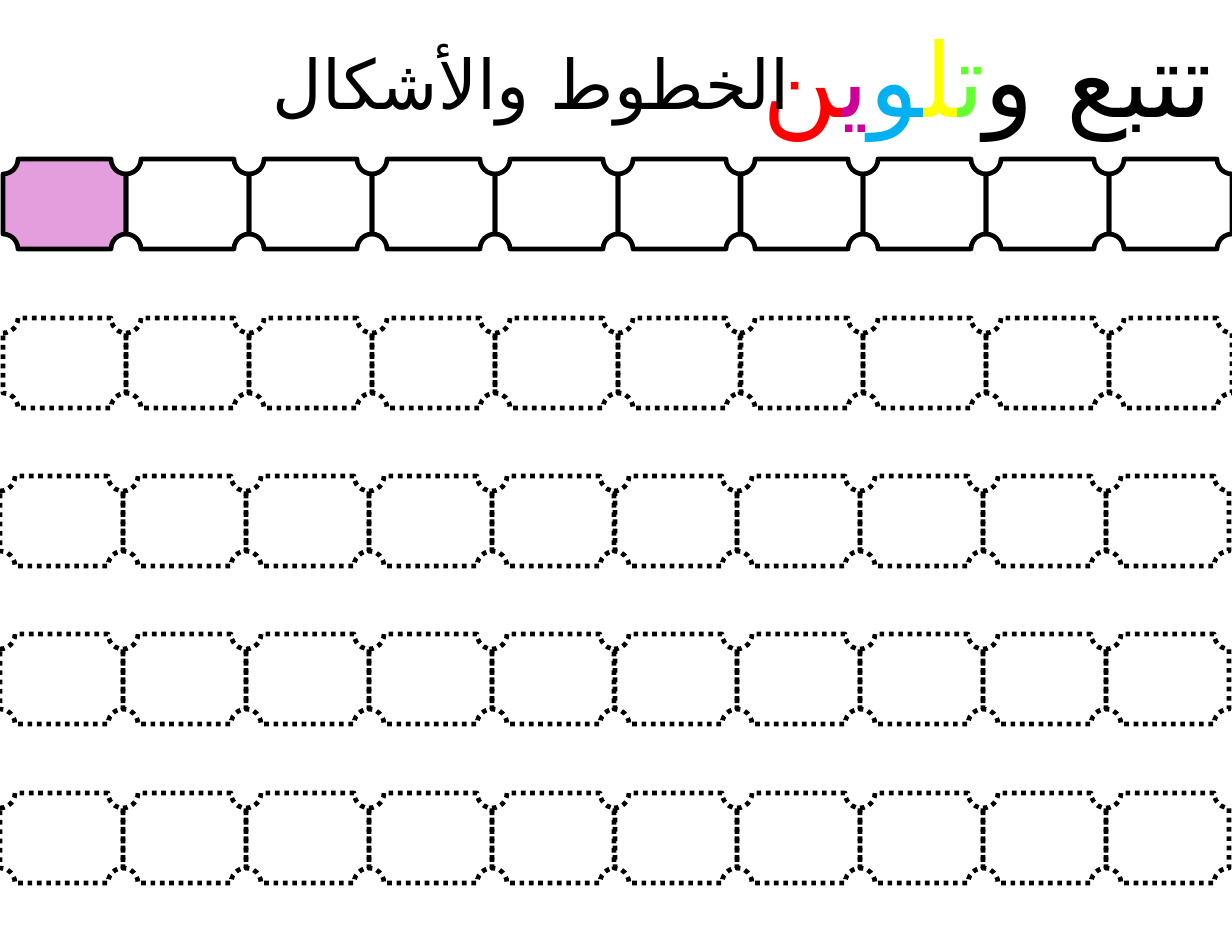
from lxml import etree
from pptx import Presentation
from pptx.dml.color import RGBColor
from pptx.enum.dml import MSO_LINE
from pptx.enum.shapes import MSO_SHAPE
from pptx.enum.text import MSO_ANCHOR, MSO_AUTO_SIZE, PP_ALIGN
from pptx.oxml.ns import qn
from pptx.util import Emu, Pt

PLAQUE = MSO_SHAPE.PLAQUE
DOTTED = MSO_LINE.ROUND_DOT
TOP = MSO_ANCHOR.TOP
CENTER = PP_ALIGN.CENTER
GROW = MSO_AUTO_SIZE.SHAPE_TO_FIT_TEXT

PX = 914400 // 112
FONT = "Montserrat"
ARABIC_FONT = "DejaVu Sans"
COLORS = {
    "black": "000000",
    "green": "66FF33",
    "yellow": "FFFF00",
    "blue": "00B0F0",
    "magenta": "CC0099",
    "red": "FF0000",
    "pink": "E59EDD",
}


def px(length):
    return Emu(length * PX)


def write_arabic(shape, size, parts):
    """Fill the shape with one centred right-to-left line of coloured runs."""
    frame = shape.text_frame
    frame.word_wrap = True
    frame.auto_size = GROW
    frame.vertical_anchor = TOP
    paragraph = frame.paragraphs[0]
    paragraph.alignment = CENTER
    paragraph._p.get_or_add_pPr().set("rtl", "1")
    for text, color in parts:
        run = paragraph.add_run()
        run.text = text
        run.font.size = Pt(size)
        run.font.name = FONT
        run.font.color.rgb = RGBColor.from_string(COLORS[color])
        complex_font = etree.SubElement(run.font._element, qn("a:cs"))
        complex_font.set("typeface", ARABIC_FONT)


presentation = Presentation()
presentation.slide_width = px(1232)
presentation.slide_height = px(952)
slide = presentation.slides.add_slide(presentation.slide_layouts[5])

# Heading
title = slide.shapes.title
title.left, title.top, title.width, title.height = px(679), px(9), px(617), px(136)
write_arabic(title, 66, [
    ("تتبع و", "black"),
    ("ت", "green"),
    ("ل", "yellow"),
    ("و", "blue"),
    ("ي", "magenta"),
    ("ن", "red"),
])
subtitle = slide.shapes.add_textbox(px(245), px(36), px(573), px(94))
write_arabic(subtitle, 44, [("الخطوط والأشكال", "black")])

# Rows of plaques: the first is the solid example, the others are for tracing
COLUMNS = 10
CELL_WIDTH, CELL_HEIGHT = 123, 90
COLUMN_STEP, ROW_STEP = 122.9, 158.5
FIRST_TOP = 159
ROW_LEFTS = [3, 3, 0, 0, 0]

for row, row_left in enumerate(ROW_LEFTS):
    group = slide.shapes.add_group_shape()
    top = round(FIRST_TOP + row * ROW_STEP)
    for column in range(COLUMNS):
        left = round(row_left + column * COLUMN_STEP)
        plaque = group.shapes.add_shape(
            PLAQUE, px(left), px(top), px(CELL_WIDTH), px(CELL_HEIGHT))
        plaque.shadow.inherit = False
        plaque.line.color.rgb = RGBColor.from_string(COLORS["black"])
        plaque.line.width = Pt(3)
        if row > 0:
            plaque.line.dash_style = DOTTED
        if row == 0 and column == 0:
            plaque.fill.solid()
            plaque.fill.fore_color.rgb = RGBColor.from_string(COLORS["pink"])
        else:
            plaque.fill.background()

presentation.save("out.pptx")
